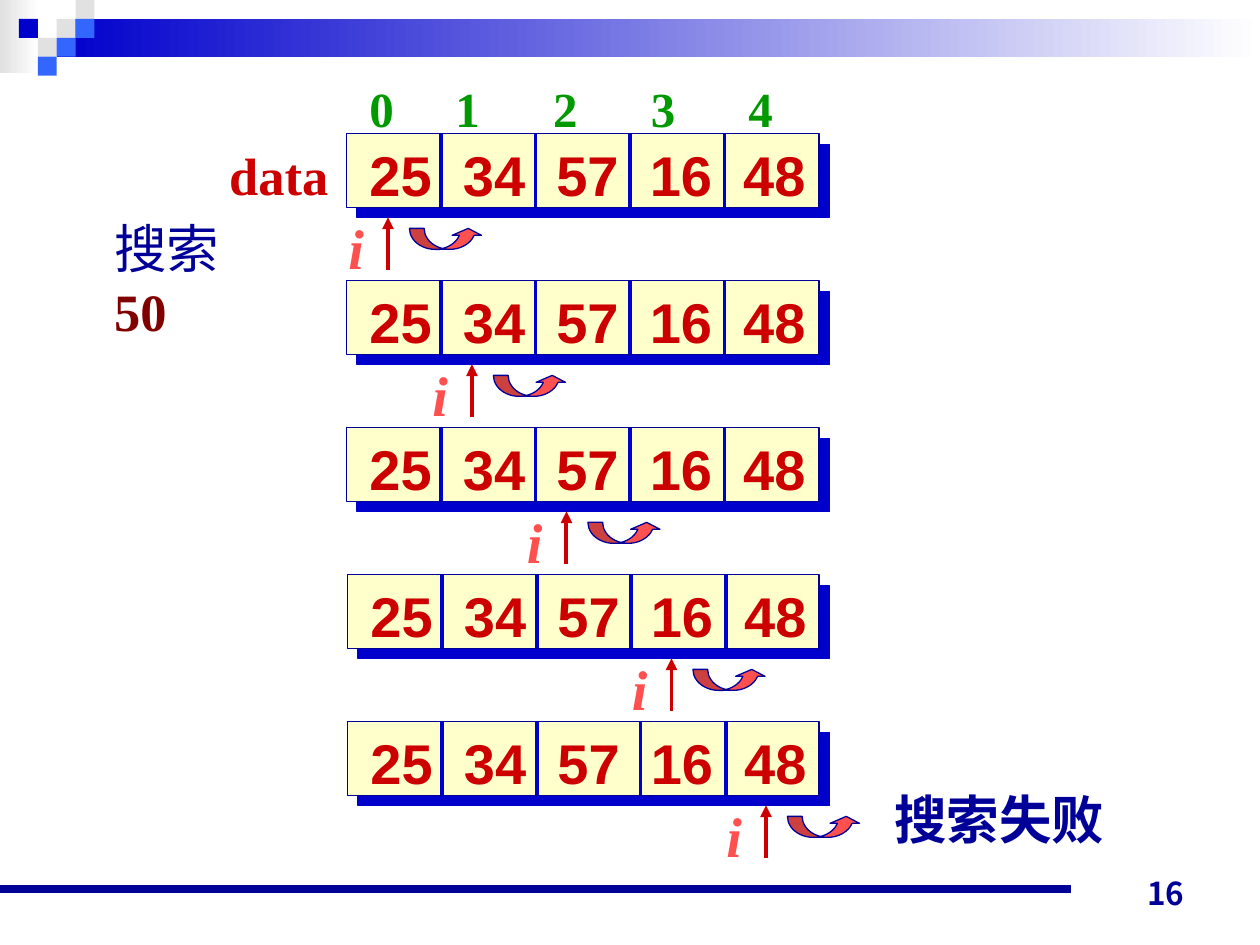
import pptx
import pptx.dml.color
import pptx.enum.shapes
import pptx.enum.text
import pptx.oxml
import pptx.oxml.ns
import pptx.util
from lxml import etree

RGBColor = pptx.dml.color.RGBColor
Shape = pptx.enum.shapes.MSO_SHAPE
Align = pptx.enum.text.PP_ALIGN
Anchor = pptx.enum.text.MSO_ANCHOR
AutoSize = pptx.enum.text.MSO_AUTO_SIZE
qn = pptx.oxml.ns.qn

NAVY = RGBColor(0x00, 0x00, 0x99)
BLUE = RGBColor(0x00, 0x00, 0xCC)
SKY = RGBColor(0x33, 0x66, 0xFF)
GREY = RGBColor(0xE1, 0xE1, 0xE1)
WHITE = RGBColor(0xFF, 0xFF, 0xFF)
CREAM = RGBColor(0xFF, 0xFF, 0xCC)
RED = RGBColor(0xCC, 0x00, 0x00)
CORAL = RGBColor(0xFF, 0x50, 0x50)
MAROON = RGBColor(0x80, 0x00, 0x00)
GREEN = RGBColor(0x00, 0x99, 0x00)

SERIF, SANS, CJK = "Times New Roman", "Arial", "Noto Sans CJK JP"
COLUMNS, ROWS = 120, 90


class SlideBuilder:
    """Draws on one slide; lengths are columns and rows of a 120 x 90 grid."""

    def __init__(self, presentation):
        self.column = presentation.slide_width / COLUMNS
        self.row = presentation.slide_height / ROWS
        self.slide = presentation.slides.add_slide(presentation.slide_layouts[6])
        self.shapes = self.slide.shapes

    def box(self, left, top, width, height):
        return (round(left * self.column), round(top * self.row),
                round(width * self.column), round(height * self.row))

    def shape(self, kind, frame, fill, line=None):
        shape = self.shapes.add_shape(kind, *self.box(*frame))
        shape.shadow.inherit = False
        shape.fill.solid()
        shape.fill.fore_color.rgb = fill
        if line is None:
            shape.line.fill.background()
        else:
            shape.line.color.rgb = line
            shape.line.width = pptx.util.Pt(0.75)
        return shape

    def fading_bar(self, frame, start):
        bar = self.shape(Shape.RECTANGLE, frame, start)
        bar.fill.gradient()
        bar.fill.gradient_angle = 0
        for stop, color in zip(bar.fill.gradient_stops, (start, WHITE)):
            stop.color.rgb = color

    def shadow(self, shape, color):
        effects = shape._element.spPr.find(qn("a:effectLst"))
        outer = etree.SubElement(effects, qn("a:outerShdw"), dist=str(pptx.util.Pt(8.5)),
                                 dir="2700000", algn="ctr", rotWithShape="0")
        etree.SubElement(outer, qn("a:srgbClr"), val=str(color))

    def line(self, start, end, color, width=2.25, arrow=False):
        begin_x, begin_y, end_x, end_y = self.box(*start, *end)
        connector = self.shapes.add_connector(
            pptx.enum.shapes.MSO_CONNECTOR.STRAIGHT, begin_x, begin_y, end_x, end_y)
        connector.line.color.rgb = color
        connector.line.width = pptx.util.Pt(width)
        if arrow:
            etree.SubElement(connector.line._get_or_add_ln(), qn("a:tailEnd"), type="triangle")
        etree.SubElement(connector._element.spPr, qn("a:effectLst"))

    def text(self, frame, parts, size, font, bold=True, italic=False, wrap=False, tabs=()):
        """Write (text, colour) parts as one paragraph, with tab stops in columns."""
        text_box = self.shapes.add_textbox(*self.box(*frame))
        text_frame = text_box.text_frame
        text_frame.word_wrap = wrap
        text_frame.auto_size = AutoSize.SHAPE_TO_FIT_TEXT
        paragraph = text_frame.paragraphs[0]
        if tabs:
            tab_list = etree.SubElement(paragraph._p.get_or_add_pPr(), qn("a:tabLst"))
            for position in tabs:
                etree.SubElement(tab_list, qn("a:tab"), pos=str(round(position * self.column)), algn="l")
        for words, color in parts:
            run = paragraph.add_run()
            run.text = words
            run.font.size = pptx.util.Pt(size)
            run.font.name = font
            run.font.bold = bold
            run.font.italic = italic
            run.font.color.rgb = color
        return text_box


def draw_frame(builder):
    # Header bars and the checkered corner
    builder.fading_bar((0, 0, 3.7, 7), GREY)
    builder.fading_bar((5.4, 1.8, 114.6, 3.6), BLUE)
    side = 1.8
    tiles = [(3, 1, GREY), (4, 0, GREY), (4, 1, SKY), (2, 2, GREY),
             (1, 1, BLUE), (3, 2, SKY), (2, 3, SKY)]
    for across, down, color in tiles:
        builder.shape(Shape.RECTANGLE, (across * side, down * side, side, side), color)

    # Footer rule and page number
    builder.line((0, 84.7), (102, 84.7), NAVY, 4.5)
    number = builder.text((86, 81.4, 28, 6), [("16", NAVY)], 18, CJK, wrap=True)
    number.text_frame.auto_size = AutoSize.NONE
    number.text_frame.vertical_anchor = Anchor.BOTTOM
    number.text_frame.paragraphs[0].alignment = Align.RIGHT


def draw_array(builder, left, top, dividers):
    array = builder.shape(Shape.RECTANGLE, (left, top, 78 - left, 7), CREAM, NAVY)
    builder.shadow(array, BLUE)
    builder.text((left + 1, top, 45, 7.5), [("25\t34\t57\t16\t48", RED)], 32, SANS,
                 wrap=True, tabs=[8.9 * cell for cell in range(1, 5)])
    for offset in dividers:
        builder.line((left + offset, top), (left + offset, top + 7), BLUE)


def draw_pointer(builder, shift, top):
    builder.line((shift + 36.95, top + 12.95), (shift + 36.95, top + 7.95), RED, arrow=True)
    builder.text((shift + 32, top + 7, 3.9, 7.5), [("i", CORAL)], 32, SERIF, italic=True)
    jump = builder.shape(Shape.CURVED_UP_ARROW, (shift + 39, top + 9, 7, 2), CORAL, NAVY)
    for index, value in enumerate((0.7, 1.4, 0.333)):
        jump.adjustments[index] = value


def main():
    presentation = pptx.Presentation()
    presentation.slide_width = pptx.util.Inches(10)
    presentation.slide_height = pptx.util.Inches(7.5)
    builder = SlideBuilder(presentation)
    draw_frame(builder)

    # One array and pointer for each search step
    even = (9, 18, 27, 36)
    steps = [(33, 0, even), (33, 8, even), (33, 17, even),
             (33.1, 27, even), (33.1, 36, (9, 18, 27.9, 36))]
    for step, (left, shift, dividers) in enumerate(steps):
        top = 12.75 + 14 * step
        draw_array(builder, left, top, dividers)
        draw_pointer(builder, shift, top)

    # Labels
    builder.text((34, 6.85, 42, 6.8), [("0\t1\t2\t3\t4", GREEN)], 28, SERIF,
                 wrap=True, tabs=[8.2 + 9.3 * index for index in range(4)])
    builder.text((20.65, 13, 11.9, 7.2), [("data", RED)], 30, SERIF)
    target = builder.text((9.7, 20, 16, 13), [("搜索 ", NAVY), ("50", MAROON)], 30, SERIF, wrap=True)
    target.text_frame.paragraphs[0].runs[0].font.bold = False
    builder.text((84, 74.4, 22.5, 7.2), [("搜索失败", NAVY)], 30, SERIF)

    presentation.save("out.pptx")


if __name__ == "__main__":
    main()
